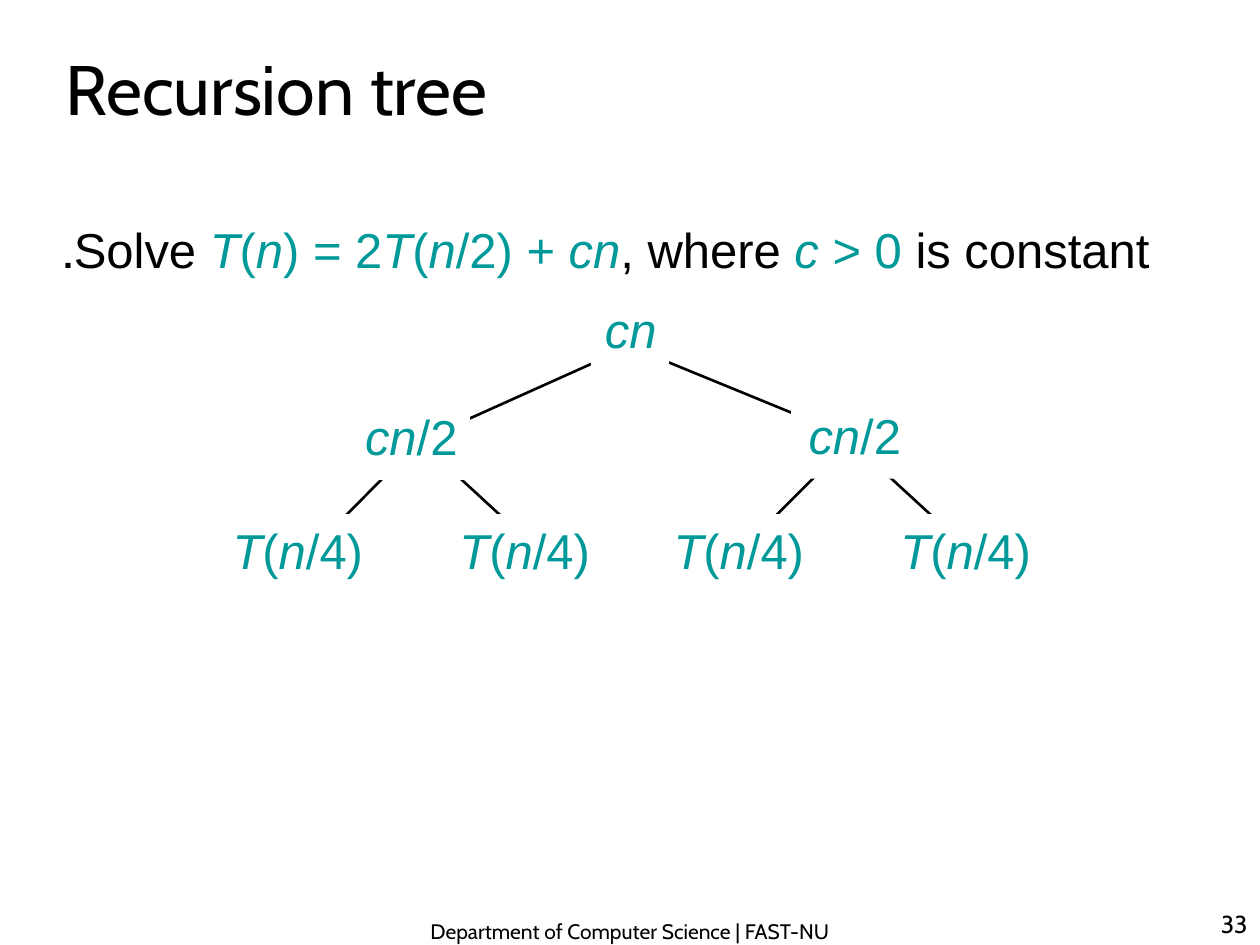
from pptx import Presentation
from pptx.dml.color import RGBColor
from pptx.enum.shapes import MSO_CONNECTOR, MSO_SHAPE
from pptx.enum.text import MSO_ANCHOR, MSO_AUTO_SIZE, PP_ALIGN
from pptx.oxml.ns import qn
from pptx.util import Inches, Pt

BLACK = RGBColor(0x00, 0x00, 0x00)
TEAL = RGBColor(0x00, 0x99, 0x99)
WHITE = RGBColor(0xFF, 0xFF, 0xFF)

LEFT, CENTER, RIGHT = PP_ALIGN.LEFT, PP_ALIGN.CENTER, PP_ALIGN.RIGHT
TOP, BOTTOM = MSO_ANCHOR.TOP, MSO_ANCHOR.BOTTOM
FIT_SHAPE = MSO_AUTO_SIZE.SHAPE_TO_FIT_TEXT
STRAIGHT = MSO_CONNECTOR.STRAIGHT
RECTANGLE = MSO_SHAPE.RECTANGLE


class SlideBuilder:
    """Holds the style and the current slide."""

    heading_font = "Cabin"
    formula_font = "Arial"
    formula_size = Pt(28)
    node_height = 0.63

    def __init__(self, presentation):
        self.slide = presentation.slides.add_slide(presentation.slide_layouts[5])

    def set_text(self, shape, text, size, alignment):
        frame = shape.text_frame
        frame.word_wrap = True
        frame.vertical_anchor = BOTTOM
        paragraph = frame.paragraphs[0]
        paragraph.text = text
        paragraph.alignment = alignment
        paragraph.font.name = self.heading_font
        paragraph.font.size = Pt(size)
        paragraph.font.color.rgb = BLACK

    def title(self, text, left, top, width, height):
        shape = self.slide.shapes.title
        shape.left, shape.top = Inches(left), Inches(top)
        shape.width, shape.height = Inches(width), Inches(height)
        self.set_text(shape, text, 40, LEFT)

    def label(self, text, left, top, width, height, size, alignment):
        box = self.slide.shapes.add_textbox(
            Inches(left), Inches(top), Inches(width), Inches(height))
        self.set_text(box, text, size, alignment)

    def set_formula(self, shape, parts, alignment=None):
        """Each part is (text, colour); asterisks enclose italic letters."""
        frame = shape.text_frame
        frame.word_wrap = False
        frame.auto_size = FIT_SHAPE
        frame.vertical_anchor = TOP
        paragraph = frame.paragraphs[0]
        paragraph.alignment = alignment
        paragraph._p.get_or_add_pPr().set("rtl", "1")
        paragraph.font.name = self.formula_font
        paragraph.font.size = self.formula_size
        for text, color in parts:
            for index, piece in enumerate(text.split("*")):
                if piece:
                    run = paragraph.add_run()
                    run.text = piece
                    run.font.italic = index % 2 == 1
                    run.font.color.rgb = color

    def statement(self, parts, left, top, width):
        box = self.slide.shapes.add_textbox(
            Inches(left), Inches(top), Inches(width), Inches(self.node_height))
        self.set_formula(box, parts)

    def node(self, text, left, top, width):
        shape = self.slide.shapes.add_shape(
            RECTANGLE, Inches(left), Inches(top), Inches(width), Inches(self.node_height))
        shape.shadow.inherit = False
        shape.fill.solid()
        shape.fill.fore_color.rgb = WHITE
        shape.line.fill.background()
        self.set_formula(shape, [(text, TEAL)], RIGHT)

    def branch(self, start, end):
        line = self.slide.shapes.add_connector(
            STRAIGHT, *(Inches(value) for value in start + end))
        line.line.color.rgb = BLACK
        line.line.width = Pt(1.5)
        properties = line._element.spPr
        properties.append(properties.makeelement(qn("a:effectLst"), {}))


def main():
    presentation = Presentation()
    presentation.slide_width = Inches(10)
    presentation.slide_height = Inches(7.5)
    builder = SlideBuilder(presentation)

    # Title and problem statement
    builder.title("Recursion tree", 0.42, 0.25, 8.25, 0.83)
    builder.statement([
        ("Solve ", BLACK),
        ("*T*(*n*) = 2*T*(*n*/2) + *cn*", TEAL),
        (", where ", BLACK),
        ("*c *> 0", TEAL),
        (" is constant.", BLACK),
    ], 0.39, 1.69, 9.21)

    # Branches, partly covered by the nodes drawn over them
    root = (5, 2.75)
    for child_end in (3.33, 6.83):
        builder.branch(root, (child_end, 3.5))
    for child, leaves in ((3.33, (2.42, 4.33)), (6.75, (5.83, 7.75))):
        for leaf in leaves:
            builder.branch((child, 3.5), (leaf, 4.42))

    # Nodes, level by level
    builder.node("*cn*", 4.69, 2.33, 0.62)
    for left, top in ((2.76, 3.18), (6.28, 3.17)):
        builder.node("*cn*/2", left, top, 0.97)
    for left in (1.67, 3.47, 5.17, 6.97):
        builder.node("*T*(*n*/4)", left, 4.08, 1.31)

    # Footer and slide number
    builder.label("Department of Computer Science | FAST-NU",
                  2.54, 7.12, 4.92, 0.42, 12, CENTER)
    builder.label("33", 7.92, 7, 2.08, 0.5, 14, RIGHT)

    presentation.save("out.pptx")


if __name__ == "__main__":
    main()
